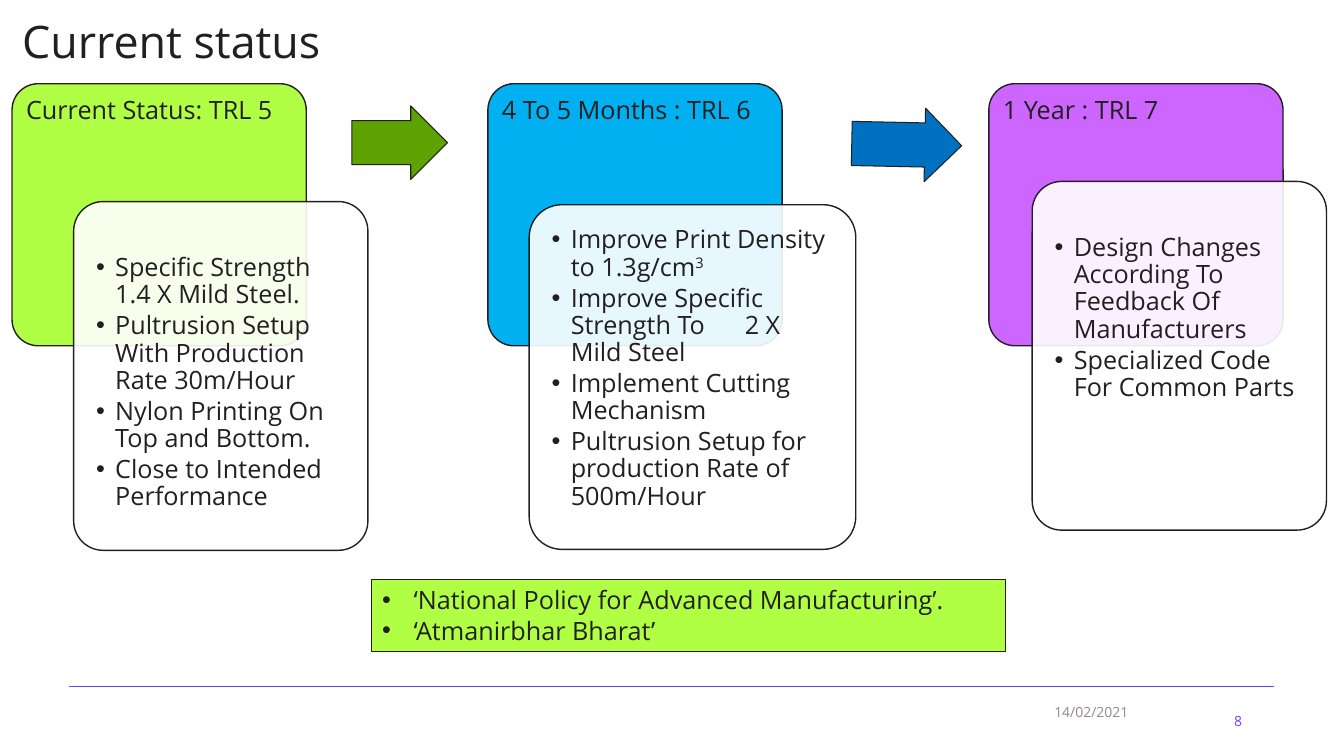
from lxml.etree import SubElement
from pptx import Presentation
from pptx.dml.color import RGBColor
from pptx.enum.shapes import MSO_CONNECTOR, MSO_SHAPE
from pptx.enum.text import MSO_ANCHOR, MSO_AUTO_SIZE, PP_ALIGN
from pptx.oxml.ns import qn
from pptx.util import Pt

INK, LIME, VIOLET, GREY = "231F20", "B0FF45", "753DFF", "96888F"
STAGE_TOP, STAGE_W, STAGE_H = 59.8, 210.2, 187.2
STAGES = [
    ("Current Status: TRL 5", LIME, 8.6, (44, 84.2, 210.2, 249.1), 22, [
        "Specific Strength 1.4 X Mild Steel.",
        "Pultrusion Setup With Production Rate 30m/Hour",
        "Nylon Printing On Top and Bottom.",
        "Close to Intended Performance"]),
    ("4 To 5 Months : TRL 6", "00B0F0", 348.5, (29.5, 86.4, 233.3, 246.2), 0, [
        "Improve Print Density to 1.3g/cm^3",
        "Improve Specific Strength To\t2 X Mild Steel",
        "Implement Cutting Mechanism",
        "Pultrusion Setup for production Rate of 500m/Hour"]),
    ("1 Year : TRL 7", "CC66FF", 706.3, (31, 69.8, 210.2, 249.1), 22, [
        "Design Changes According To Feedback Of Manufacturers",
        "Specialized Code For Common Parts"]),
]
ARROWS = [("5DA200", (251.3, 75.6, 68.4, 52.6), 0),
          ("0070C0", (608.4, 77, 78.5, 52.6), 1.2)]
POLICIES = ["‘National Policy for Advanced Manufacturing’.", "‘Atmanirbhar Bharat’"]


def rgb(color):
    """Turn a hex string into a colour."""
    return RGBColor.from_string(color)


def paint(shape, fill, weight):
    """Give a shape its fill and dark outline."""
    shape.fill.solid()
    shape.fill.fore_color.rgb = rgb(fill)
    shape.line.color.rgb = rgb(INK)
    shape.line.width = Pt(weight)


def place(shape, box):
    """Move a shape to a box given in points."""
    shape.left, shape.top, shape.width, shape.height = map(Pt, box)


def frame_text(shape, insets, anchor=MSO_ANCHOR.TOP):
    """Set up wrapping, insets and anchor, and return the frame."""
    frame = shape.text_frame
    frame.word_wrap = True
    frame.auto_size = MSO_AUTO_SIZE.NONE
    frame.vertical_anchor = anchor
    (frame.margin_left, frame.margin_top,
     frame.margin_right, frame.margin_bottom) = map(Pt, insets)
    return frame


def add_words(paragraph, words, size, color=INK):
    """Add one formatted run."""
    run = paragraph.add_run()
    run.text = words
    font = run.font
    font.name, font.size, font.bold = "Open Sans", Pt(size), False
    font.color.rgb = rgb(color)
    return run


def fill_list(frame, items, indent, spacing, gap):
    """Write a bulleted list, raising whatever follows a caret."""
    for number, item in enumerate(items):
        paragraph = frame.add_paragraph() if number else frame.paragraphs[0]
        paragraph.alignment = PP_ALIGN.LEFT
        paragraph.line_spacing = spacing
        paragraph.space_before = Pt(gap if number else 0)
        paragraph.space_after = Pt(0)
        props = paragraph._p.get_or_add_pPr()
        props.set("marL", str(Pt(indent)))
        props.set("indent", str(Pt(-indent)))
        bullet_color = SubElement(props, qn("a:buClr"))
        SubElement(bullet_color, qn("a:srgbClr"), val=INK)
        SubElement(props, qn("a:buFont"), typeface="Arial")
        SubElement(props, qn("a:buChar"), char="•")
        if "\t" in item:
            tabs = SubElement(props, qn("a:tabLst"))
            SubElement(tabs, qn("a:tab"), pos=str(Pt(138)), algn="l")
        base, _, raised = item.partition("^")
        add_words(paragraph, base, 18)
        if raised:
            exponent = add_words(paragraph, raised, 18)
            exponent._r.get_or_add_rPr().set("baseline", "30000")


def add_heading(title, box):
    """Fill the slide title."""
    place(title, box)
    frame = frame_text(title, (7.2, 3.6, 7.2, 3.6))
    frame.paragraphs[0].alignment = PP_ALIGN.LEFT
    add_words(frame.paragraphs[0], "Current status", 32)


def add_stage(slide, body, box, stage):
    """Draw a coloured stage with its overlapping list card."""
    name, color, _, (dx, dy, width, height), list_drop, items = stage
    left, top = box[:2]
    card_box = (left + dx, top + dy, width, height)
    panel, card = (slide.shapes.add_shape(MSO_SHAPE.ROUNDED_RECTANGLE, *map(Pt, area))
                   for area in (box, card_box))
    for shape, fill in ((panel, color), (card, "FFFFFF")):
        shape.shadow.inherit = False
        shape.adjustments[0] = 0.1
        paint(shape, fill, 1)
    white = card.element.spPr.find(qn("a:solidFill")).find(qn("a:srgbClr"))
    SubElement(white, qn("a:alpha"), val="90000")

    heading = frame_text(panel, (4.6, 4.6, 4.6, 4.6)).paragraphs[0]
    heading.alignment = PP_ALIGN.LEFT
    heading.line_spacing = 0.9
    add_words(heading, name, 18)

    place(body, (left + dx + 6, top + dy + 6, width - 12, height - 12))
    frame = frame_text(body, (10, 10 + list_drop, 10, 10))
    fill_list(frame, items, 13.7, 0.9, 2.7)
    body.element.getparent().append(body.element)


def add_arrow(slide, box, color, turn):
    """Draw a block arrow between two stages."""
    arrow = slide.shapes.add_shape(MSO_SHAPE.RIGHT_ARROW, *map(Pt, box))
    arrow.shadow.inherit = False
    arrow.adjustments[0], arrow.adjustments[1] = 0.6, 0.5
    arrow.rotation = turn
    paint(arrow, color, 0.75)


def add_policies(body, box):
    """Fill the policy band."""
    place(body, box)
    paint(body, LIME, 0.75)
    fill_list(frame_text(body, (7.2, 3.6, 7.2, 3.6)), POLICIES, 22.5, 1.0, 0)


def add_footer(slide, box):
    """Draw the footer rule, date and slide number."""
    left, top, width, _ = box
    rule = slide.shapes.add_connector(
        MSO_CONNECTOR.STRAIGHT, Pt(left), Pt(top), Pt(left + width), Pt(top))
    rule.line.color.rgb = rgb(VIOLET)
    rule.line.width = Pt(0.75)
    SubElement(rule.element.spPr, qn("a:effectLst"))
    notes = [("14/02/2021", GREY, PP_ALIGN.LEFT, (697, 3.6, 119.5, 28.8)),
             ("8", VIOLET, PP_ALIGN.RIGHT, (629.3, 10, 216, 28.8))]
    for words, color, align, (dx, dy, note_w, note_h) in notes:
        note = slide.shapes.add_textbox(Pt(left + dx), Pt(top + dy), Pt(note_w), Pt(note_h))
        frame = frame_text(note, (7.2, 3.6, 7.2, 3.6), MSO_ANCHOR.MIDDLE)
        frame.paragraphs[0].alignment = align
        add_words(frame.paragraphs[0], words, 10, color)


def main():
    """Build the slide and save it."""
    deck = Presentation()
    deck.slide_width, deck.slide_height = Pt(960), Pt(540)
    slide = deck.slides.add_slide(deck.slide_layouts.get_by_name("Comparison"))
    title, *stage_bodies, policy_body = slide.placeholders
    add_footer(slide, (49, 490.3, 861, 40))
    add_heading(title, (8.6, 6.5, 875.5, 47.5))
    for stage, body in zip(STAGES, stage_bodies):
        add_stage(slide, body, (stage[2], STAGE_TOP, STAGE_W, STAGE_H), stage)
    for color, box, turn in ARROWS:
        add_arrow(slide, box, color, turn)
    add_policies(policy_body, (265.7, 414, 452.9, 51.1))
    deck.save("out.pptx")


if __name__ == "__main__":
    main()
